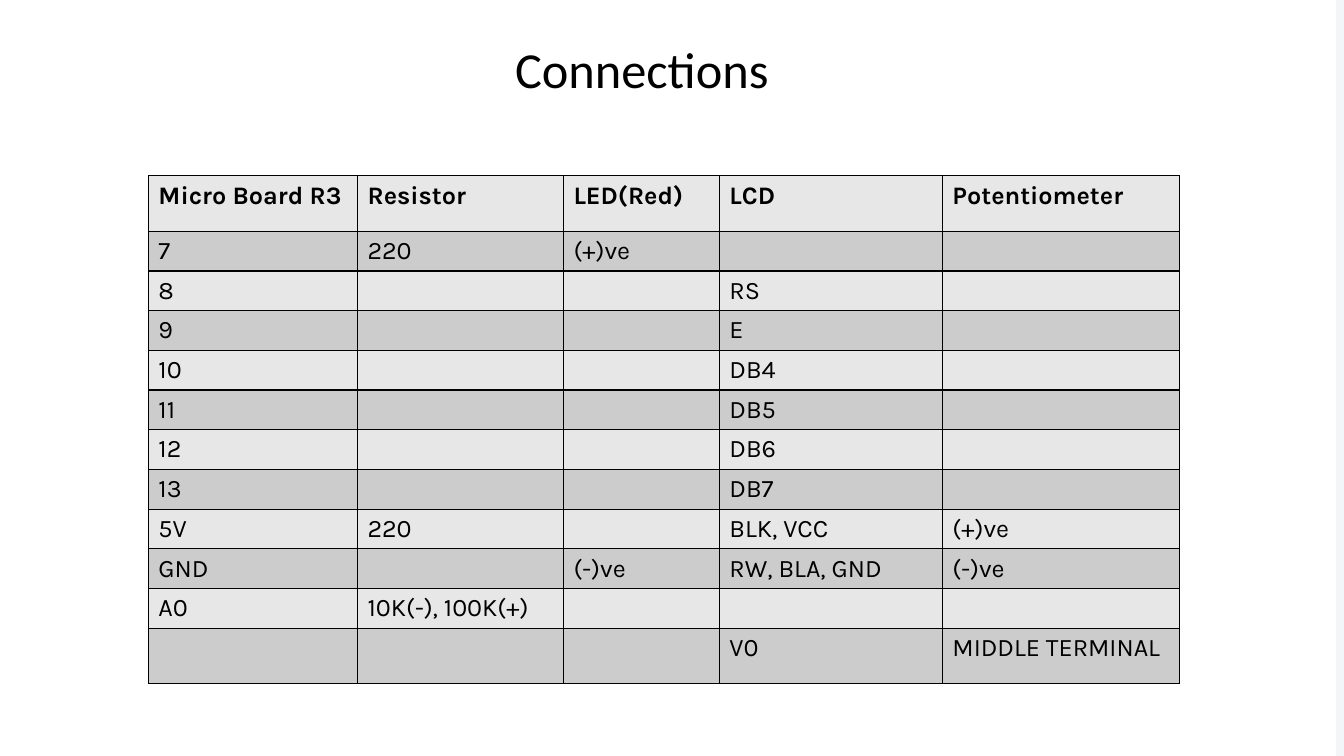
import dataclasses

import lxml.etree
import pptx
import pptx.dml.color
import pptx.enum.text
import pptx.oxml.ns
import pptx.util

Cm = pptx.util.Cm
Pt = pptx.util.Pt
qn = pptx.oxml.ns.qn


@dataclasses.dataclass(frozen=True)
class Theme:
    background: str = "F4F5F6"
    panel: str = "FFFFFF"
    text: str = "000000"
    border: str = "000000"
    bands: tuple = ("E7E7E7", "CCCCCC")
    title_font: str = "Calibri"
    table_font: str = "Karla"
    title_size: int = 36
    table_size: int = 18
    border_width: int = 1


WIDTH, HEIGHT = 33.87, 19.05
COLUMN_WIDTHS = (5.27, 5.19, 3.93, 5.62, 5.97)
ROW_HEIGHT, END_ROW_HEIGHT = 1, 1.4
CONNECTIONS = (
    ("Micro Board R3", "Resistor", "LED(Red)", "LCD", "Potentiometer"),
    ("7", "220", "(+)ve", "", ""),
    ("8", "", "", "RS", ""),
    ("9", "", "", "E", ""),
    ("10", "", "", "DB4", ""),
    ("11", "", "", "DB5", ""),
    ("12", "", "", "DB6", ""),
    ("13", "", "", "DB7", ""),
    ("5V", "220", "", "BLK, VCC", "(+)ve"),
    ("GND", "", "(-)ve", "RW, BLA, GND", "(-)ve"),
    ("A0", "10K(-), 100K(+)", "", "", ""),
    ("", "", "", "V0", "MIDDLE TERMINAL"),
)


def rgb(value):
    return pptx.dml.color.RGBColor.from_string(value)


class SlideBuilder:
    def __init__(self, slide, theme):
        self.slide = slide
        self.theme = theme
        fill = slide.background.fill
        fill.solid()
        fill.fore_color.rgb = rgb(theme.background)

    def format_run(self, run, font_name, size, bold=False):
        run.font.name = font_name
        run.font.size = Pt(size)
        run.font.bold = bold
        run.font.color.rgb = rgb(self.theme.text)

    def panel(self, left, top, width, height):
        shape = self.slide.shapes.add_shape(
            pptx.enum.shapes.MSO_SHAPE.RECTANGLE,
            Cm(left), Cm(top), Cm(width), Cm(height))
        shape.shadow.inherit = False
        shape.fill.solid()
        shape.fill.fore_color.rgb = rgb(self.theme.panel)
        shape.line.fill.background()

    def title(self, text, left, top, width, height):
        """Fill the title placeholder and bring it to the front."""
        title = self.slide.shapes.title
        title.left, title.top = Cm(left), Cm(top)
        title.width, title.height = Cm(width), Cm(height)
        frame = title.text_frame
        frame.text = text
        frame.word_wrap = True
        frame.auto_size = pptx.enum.text.MSO_AUTO_SIZE.NONE
        frame.vertical_anchor = pptx.enum.text.MSO_ANCHOR.MIDDLE
        frame.margin_left = frame.margin_right = 0
        paragraph = frame.paragraphs[0]
        paragraph.alignment = pptx.enum.text.PP_ALIGN.LEFT
        paragraph.line_spacing = 0.9
        self.format_run(paragraph.runs[0], self.theme.title_font, self.theme.title_size)
        title.element.getparent().append(title.element)

    def table(self, rows, left, top, column_widths, row_heights):
        table = self.slide.shapes.add_table(
            len(rows), len(column_widths), Cm(left), Cm(top),
            Cm(sum(column_widths)), Cm(sum(row_heights))).table
        for column, width in zip(table.columns, column_widths):
            column.width = Cm(width)
        for row, height in zip(table.rows, row_heights):
            row.height = Cm(height)
        for row_index, values in enumerate(rows):
            for column_index, value in enumerate(values):
                self.cell(table.cell(row_index, column_index), value, row_index)

    def cell(self, cell, value, row_index):
        theme = self.theme
        self.cell_borders(cell)
        cell.fill.solid()
        cell.fill.fore_color.rgb = rgb(theme.bands[row_index % len(theme.bands)])
        paragraph = cell.text_frame.paragraphs[0]
        paragraph.text = value
        for run in paragraph.runs:
            self.format_run(run, theme.table_font, theme.table_size, bold=row_index == 0)
        if not value:
            self.empty_paragraph_font(paragraph)

    def empty_paragraph_font(self, paragraph):
        """Give an empty cell the table font, so that it does not raise its row."""
        properties = lxml.etree.SubElement(
            paragraph._p, qn("a:endParaRPr"), sz=str(self.theme.table_size * 100))
        lxml.etree.SubElement(properties, qn("a:latin"), typeface=self.theme.table_font)

    def cell_borders(self, cell):
        properties = cell._tc.get_or_add_tcPr()
        for side in ("a:lnL", "a:lnR", "a:lnT", "a:lnB"):
            line = lxml.etree.SubElement(
                properties, qn(side), w=str(Pt(self.theme.border_width)))
            fill = lxml.etree.SubElement(line, qn("a:solidFill"))
            lxml.etree.SubElement(fill, qn("a:srgbClr"), val=self.theme.border)


def main():
    presentation = pptx.Presentation()
    presentation.slide_width = Cm(WIDTH)
    presentation.slide_height = Cm(HEIGHT)
    title_only = presentation.slide_layouts.get_by_name("Title Only")
    builder = SlideBuilder(presentation.slides.add_slide(title_only), Theme())
    builder.panel(-0.2, 0, WIDTH, HEIGHT)
    inner_rows = len(CONNECTIONS) - 2
    row_heights = [END_ROW_HEIGHT] + [ROW_HEIGHT] * inner_rows + [END_ROW_HEIGHT]
    builder.table(CONNECTIONS, 3.74, 4.43, COLUMN_WIDTHS, row_heights)
    builder.title("Connections", 12.98, 0.5, 10.4, 2.64)
    presentation.save("out.pptx")


if __name__ == "__main__":
    main()
